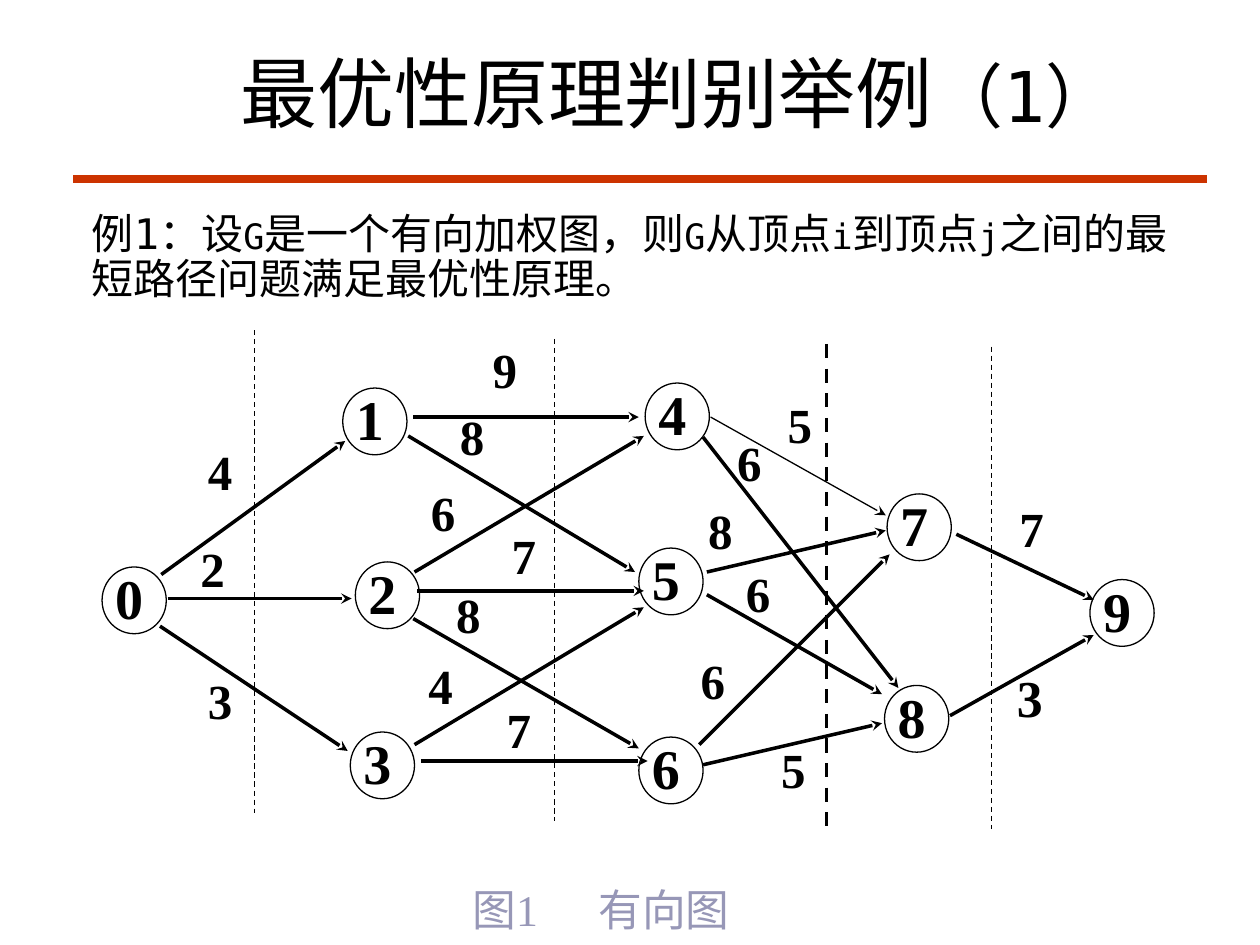
"""Build a slide with a weighted directed graph that shows the principle of optimality."""
from typing import Any, NamedTuple

import pptx
import pptx.dml.color
import pptx.enum.dml
import pptx.enum.shapes
import pptx.enum.text
import pptx.oxml.ns
import pptx.util
from lxml import etree

COLUMNS, ROWS = 100, 75
WIDTH, HEIGHT = pptx.util.Inches(10), pptx.util.Inches(7.5)
BLACK, RED, LILAC = "000000", "CC3300", "9797B7"
MONO, SERIF = "DejaVu Sans Mono", "Times New Roman"
DASH = pptx.enum.dml.MSO_LINE.DASH
TOP, MIDDLE = pptx.enum.text.MSO_ANCHOR.TOP, pptx.enum.text.MSO_ANCHOR.MIDDLE
LEFT, CENTER = pptx.enum.text.PP_ALIGN.LEFT, pptx.enum.text.PP_ALIGN.CENTER


class Vertex(NamedTuple):
    """A numbered circle, placed by its top left corner on the grid."""
    name: str
    column: float
    row: float


class Edge(NamedTuple):
    """A weighted arrow with the place of its weight on the grid."""
    start: tuple[float, float]
    end: tuple[float, float]
    weight: str
    label: tuple[float, float]
    thickness: float = 2
    size: float = 28
    spacing: float = 0.7


class Divider(NamedTuple):
    """A vertical dashed line between two stages of the graph."""
    column: float
    row: float
    thickness: float = 0.75


class Piece(NamedTuple):
    """A stretch of text in one size."""
    text: str
    size: float


VERTICES = [
    Vertex("0", 8.1, 45), Vertex("1", 27.2, 30.8), Vertex("2", 28.2, 44.6),
    Vertex("3", 27.8, 58.1), Vertex("4", 51.2, 30.4), Vertex("5", 50.7, 43.5),
    Vertex("6", 50.7, 58.5), Vertex("7", 70.4, 39.2), Vertex("8", 70.2, 54.4),
    Vertex("9", 86.5, 46),
]
EDGES = [
    Edge((12.8, 45.6), (27.4, 35), "4", (16.5, 36.3)),
    Edge((13.3, 47.5), (27.9, 47.5), "2", (15.9, 44)),
    Edge((12.7, 49.7), (27.6, 59.6), "3", (16.5, 54.5)),
    Edge((32.8, 33.1), (50.7, 33.1), "9", (39.1, 28.2)),
    Edge((32.4, 34.6), (50.4, 45.4), "8", (36.5, 33.5)),
    Edge((32.9, 45.4), (51.1, 34.6), "6", (34.2, 39.6)),
    Edge((33.1, 46.9), (51.1, 46.9), "7", (40.6, 43)),
    Edge((32.8, 49.1), (50.7, 59.4), "8", (36.2, 47.7)),
    Edge((32.9, 59.1), (51.1, 48.2), "4", (34, 53.3)),
    Edge((33.4, 60.4), (51.4, 60.4), "7", (40.2, 56.8)),
    Edge((56.4, 33.1), (70.3, 40.9), "5", (62.5, 32.6), thickness=0.75),
    Edge((55.8, 34.7), (71.3, 54.6), "6", (58.5, 35.6)),
    Edge((56.1, 45.4), (70.3, 42.1), "8", (56.2, 41)),
    Edge((56.1, 47.2), (70, 55.1), "6", (59.2, 46)),
    Edge((55.5, 59.1), (70.6, 44), "6", (55.6, 52.9)),
    Edge((55.8, 60.7), (70, 57.4), "5", (62, 60)),
    Edge((75.9, 42.4), (86.8, 47.6), "7", (80.9, 40.8)),
    Edge((75.4, 56.8), (86.8, 50.4), "3", (80.7, 54.6), size=29.6, spacing=0.6),
]
DIVIDERS = [Divider(20.2, 26.2), Divider(44, 26.9), Divider(65.6, 27.3, 2),
            Divider(78.7, 27.5)]
TITLE = [Piece("最优性原理判别举例", 44), Piece("（1）", 40)]
BODY = [
    Piece("例1：设", 24), Piece("G", 20), Piece("是一个有向加权图，则", 24),
    Piece("G", 20), Piece("从顶点", 24), Piece("i", 20), Piece("到顶点", 24),
    Piece("j", 20), Piece("之间的最短路径问题满足最优性原理。", 24),
]


def color(value: str) -> pptx.dml.color.RGBColor:
    """Return the colour for a hex string."""
    return pptx.dml.color.RGBColor.from_string(value)


def across(columns: float) -> int:
    """Return the length of a number of grid columns."""
    return round(WIDTH * columns / COLUMNS)


def down(rows: float) -> int:
    """Return the length of a number of grid rows."""
    return round(HEIGHT * rows / ROWS)


def area(column: float, row: float, columns: float, rows: float) -> dict[str, int]:
    """Return the position and size of a block of grid cells."""
    return {"left": across(column), "top": down(row),
            "width": across(columns), "height": down(rows)}


def assign(target: Any, values: dict[str, Any]) -> None:
    """Set every attribute named in the format values."""
    for name, value in values.items():
        setattr(target, name, value)


def write(box: Any, pieces: list[Piece], font: str, hue: str = BLACK, bold: bool = False,
          spacing: float = 1, align: Any = LEFT, anchor: Any = TOP,
          margins: tuple[float, float] = (0, 0), right: float = 0,
          tab: float | None = None) -> None:
    """Fill a shape with one formatted paragraph."""
    frame = box.text_frame
    assign(frame, {
        "word_wrap": True, "auto_size": pptx.enum.text.MSO_AUTO_SIZE.NONE,
        "vertical_anchor": anchor,
        "margin_left": across(margins[0]), "margin_right": across(right),
        "margin_top": down(margins[1]), "margin_bottom": down(margins[1]),
    })
    para = frame.paragraphs[0]
    assign(para, {"alignment": align, "line_spacing": spacing,
                  "space_before": pptx.util.Pt(0)})
    properties = para._p.get_or_add_pPr()
    properties.set("marL", "0")
    properties.set("indent", "0")
    etree.SubElement(properties, pptx.oxml.ns.qn("a:buNone"))
    if tab is not None:
        stops = etree.SubElement(properties, pptx.oxml.ns.qn("a:tabLst"))
        etree.SubElement(stops, pptx.oxml.ns.qn("a:tab"), pos=str(across(tab)), algn="l")
    for piece in pieces:
        span = para.add_run()
        span.text = piece.text
        assign(span.font, {"name": font, "size": pptx.util.Pt(piece.size), "bold": bold})
        span.font.color.rgb = color(hue)


def draw_line(page: Any, start: tuple[float, float], end: tuple[float, float],
              thickness: float, hue: str = BLACK, dash: Any = None,
              arrow: bool = False) -> None:
    """Draw a straight line, dashed or with an arrowhead when asked."""
    line = page.shapes.add_connector(
        pptx.enum.shapes.MSO_CONNECTOR.STRAIGHT,
        across(start[0]), down(start[1]), across(end[0]), down(end[1]))
    assign(line.line, {"width": pptx.util.Pt(thickness), "dash_style": dash})
    line.line.color.rgb = color(hue)
    if arrow:
        etree.SubElement(line.line._get_or_add_ln(), pptx.oxml.ns.qn("a:tailEnd"),
                         type="stealth")
    etree.SubElement(line._element.spPr, pptx.oxml.ns.qn("a:effectLst"))


def draw_vertex(page: Any, vertex: Vertex) -> None:
    """Draw a numbered circle."""
    circle = page.shapes.add_shape(pptx.enum.shapes.MSO_SHAPE.OVAL,
                                   **area(vertex.column, vertex.row, 5.1, 5.3))
    circle.shadow.inherit = False
    circle.fill.background()
    circle.line.color.rgb = color(BLACK)
    circle.line.width = pptx.util.Pt(0.75)
    write(circle, [Piece(vertex.name, 32)], SERIF, bold=True, spacing=0.8, margins=(0.3, 0))


def draw_edge(page: Any, edge: Edge) -> None:
    """Draw an arrow and its weight."""
    draw_line(page, edge.start, edge.end, edge.thickness, arrow=True)
    label = page.shapes.add_textbox(**area(*edge.label, 2.8, 3.5))
    write(label, [Piece(edge.weight, edge.size)], SERIF, bold=True, spacing=edge.spacing)


def main() -> None:
    """Build and save the deck."""
    deck = pptx.Presentation()
    assign(deck, {"slide_width": WIDTH, "slide_height": HEIGHT})
    page = deck.slides.add_slide(deck.slide_layouts[1])
    title, body = page.shapes.title, page.placeholders[1]
    assign(title, area(10.9, 3.1, 85.8, 8.3))
    write(title, TITLE, MONO, align=CENTER, anchor=MIDDLE, margins=(1, 0.5), right=1)
    assign(body, area(6.3, 16.4, 89.8, 8.2))
    write(body, BODY, MONO, spacing=0.9, margins=(1, 0.5), right=1)
    draw_line(page, (5.8, 14.2), (95.8, 14.2), 4.5, RED)
    for vertex in VERTICES:
        draw_vertex(page, vertex)
    for edge in EDGES:
        draw_edge(page, edge)
    for divider in DIVIDERS:
        draw_line(page, (divider.column, divider.row), (divider.column, divider.row + 38.3),
                  divider.thickness, dash=DASH)
    caption = page.shapes.add_textbox(**area(37.5, 70.9, 32.3, 4.1))
    write(caption, [Piece("图1\t有向图", 25)], SERIF, LILAC, spacing=0.8, tab=8.6)
    deck.save("out.pptx")


if __name__ == "__main__":
    main()
